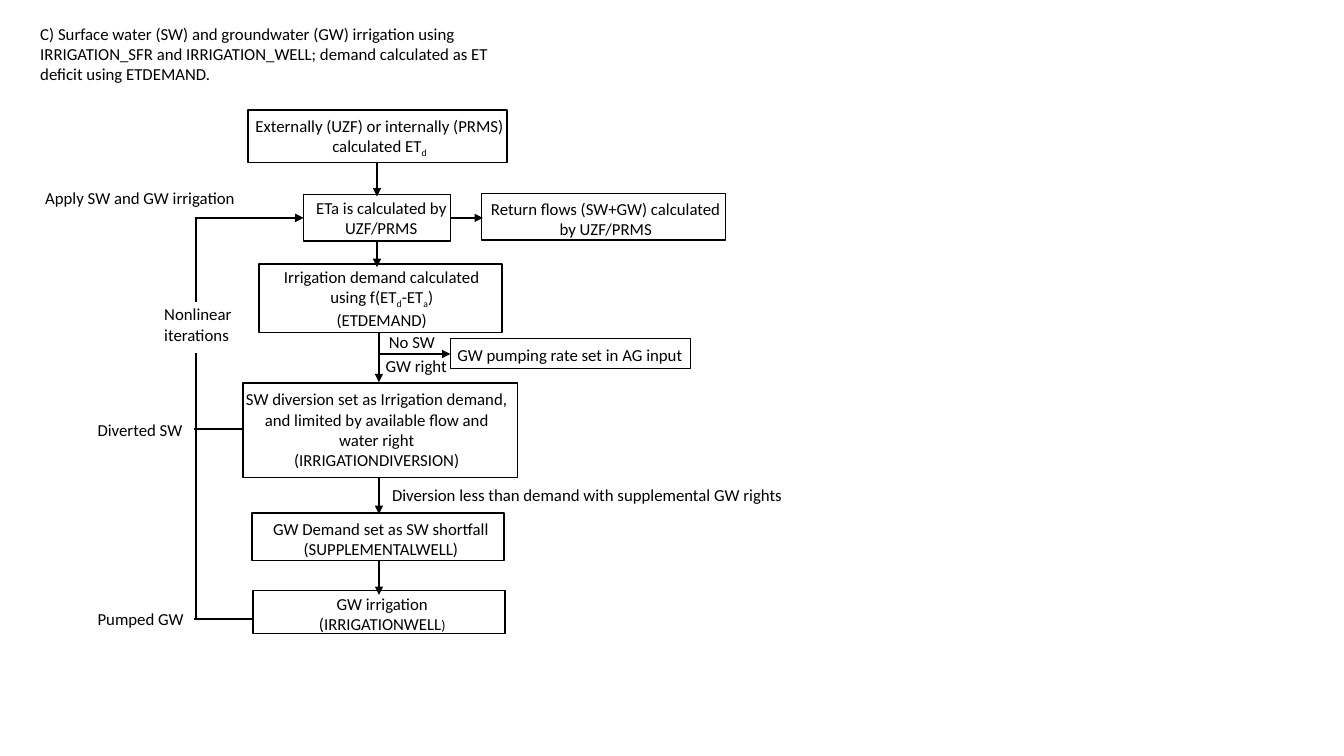
import pptx
import pptx.util
import pptx.dml.color
import pptx.enum.shapes
import pptx.enum.text
import pptx.oxml.ns
from dataclasses import dataclass
from lxml import etree

Cm, Pt = pptx.util.Cm, pptx.util.Pt
Align = pptx.enum.text.PP_ALIGN
Fit = pptx.enum.text.MSO_AUTO_SIZE
qn = pptx.oxml.ns.qn


@dataclass(frozen=True)
class Theme:
    ink: pptx.dml.color.RGBColor = pptx.dml.color.RGBColor(0, 0, 0)
    font: str = "Calibri"
    size: int = 12
    small: int = 10
    sub: str = "-25000"
    edge: float = 1
    flow: float = 1.5


THEME = Theme()

# Each step: box, text area, lines; a line is a list of runs,
# and a run is plain text or (text, kind)
STEPS = [
    ((6.25, 2.77, 6.53, 1.32), (6.02, 2.79, 7.09, 1.27),
     [["Externally (UZF) or internally (PRMS) calculated ET", ("d", "sub")]]),
    ((7.65, 4.9, 3.71, 1.17), (7.21, 4.85, 4.8, 1.27),
     [["ETa is calculated by UZF/PRMS"]]),
    ((12.14, 4.88, 6.15, 1.17), (11.94, 4.88, 6.65, 1.27),
     [["Return flows (SW+GW) calculated by UZF/PRMS"]]),
    ((6.53, 6.65, 6.12, 1.73), (6.43, 6.6, 6.38, 1.68),
     [["Irrigation demand calculated using f(ET", ("d", "sub"), "-ET",
       ("a", "sub"), ")"], ["(ETDEMAND)"]]),
    ((11.35, 8.53, 6.05, 0.76), (10.67, 8.56, 7.39, 0.76),
     [["GW pumping rate set in AG input"]]),
    ((6.12, 9.65, 6.93, 2.39), (5.94, 9.68, 7.11, 2.31),
     [["SW diversion set as Irrigation demand, and limited by available "
       "flow and water right"], ["(IRRIGATIONDIVERSION)"]]),
    ((6.35, 12.93, 6.35, 1.19), (6.4, 12.95, 6.4, 1.27),
     [["GW Demand set as SW shortfall"], ["(SUPPLEMENTALWELL)"]]),
    ((6.38, 14.88, 6.35, 1.09), (5.94, 14.83, 7.39, 1.88),
     [["GW irrigation"], ["(IRRIGATIONWELL", (")", "small")]]),
]

# Each label: area, text, wraps or not
LABELS = [
    ((0.89, 4.6, 5.33, 0.76), "Apply SW and GW irrigation", False),
    ((3.89, 7.54, 2.62, 1.27), "Nonlinear iterations", True),
    ((9.55, 8.23, 3.05, 0.76), "No SW", True),
    ((9.47, 8.84, 2.95, 0.76), "GW right", True),
    ((2.21, 10.46, 2.67, 0.76), "Diverted SW", False),
    ((9.63, 12.09, 10.44, 0.76),
     "Diversion less than demand with supplemental GW rights", False),
    ((2.21, 15.21, 2.72, 0.76), "Pumped GW", False),
]

# Lines run from x, y to x, y
ARROWS = [
    (9.5, 4.11, 9.5, 4.95), (9.5, 6.1, 9.5, 6.73),
    (9.55, 8.36, 9.55, 9.63), (9.55, 12.04, 9.55, 12.95),
    (9.55, 14.12, 9.55, 14.99), (11.35, 5.49, 12.17, 5.49),
    (9.55, 8.92, 11.35, 8.92), (4.95, 5.49, 7.65, 5.49),
]
LINKS = [
    (6.4, 15.6, 4.9, 15.6), (4.93, 15.62, 4.93, 8.89),
    (6.15, 10.82, 4.88, 10.82), (4.95, 7.62, 4.95, 5.46),
]


def apply(item, values):
    for name, value in values.items():
        setattr(item, name, value)


def span(area):
    return [Cm(v) for v in area]


def write(frame, lines, align, wrap=True, fit=Fit.SHAPE_TO_FIT_TEXT):
    apply(frame, {"word_wrap": wrap, "auto_size": fit,
                  "vertical_anchor": pptx.enum.text.MSO_ANCHOR.TOP})
    for i, line in enumerate(lines):
        para = frame.paragraphs[0] if i == 0 else frame.add_paragraph()
        para.alignment = align
        for part in line:
            text, kind = (part, "") if isinstance(part, str) else part
            run = para.add_run()
            run.text = text
            size = THEME.small if kind == "small" else THEME.size
            apply(run.font, {"name": THEME.font, "size": Pt(size)})
            run.font.color.rgb = THEME.ink
            if kind == "sub":
                run._r.get_or_add_rPr().set("baseline", THEME.sub)


def stroke(line, width):
    line.color.rgb = THEME.ink
    line.width = Pt(width)


def title(slide, area, text):
    head = slide.shapes.title
    apply(head, dict(zip(("left", "top", "width", "height"), span(area))))
    write(head.text_frame, [[text]], Align.LEFT, fit=Fit.NONE)


def label(slide, area, lines, align=Align.LEFT, wrap=True):
    box = slide.shapes.add_textbox(*span(area))
    write(box.text_frame, lines, align, wrap)


def step(slide, box, area, lines):
    rect = slide.shapes.add_shape(
        pptx.enum.shapes.MSO_SHAPE.RECTANGLE, *span(box))
    rect.shadow.inherit = False
    rect.fill.background()
    stroke(rect.line, THEME.edge)
    label(slide, area, lines, Align.CENTER)


def link(slide, ends, arrow=False):
    line = slide.shapes.add_connector(
        pptx.enum.shapes.MSO_CONNECTOR.STRAIGHT, *span(ends))
    stroke(line.line, THEME.flow)
    props = line._element.spPr
    if arrow:
        etree.SubElement(props.find(qn("a:ln")), qn("a:tailEnd"),
                         type="triangle")
    etree.SubElement(props, qn("a:effectLst"))


def main():
    deck = pptx.Presentation()
    apply(deck, {"slide_width": Cm(33.87), "slide_height": Cm(19.05)})
    slide = deck.slides.add_slide(deck.slide_layouts[5])

    # Heading
    title(slide, (0.76, 0.46, 12.7, 1.8),
          "C) Surface water (SW) and groundwater (GW) irrigation using "
          "IRRIGATION_SFR and IRRIGATION_WELL; demand calculated as ET "
          "deficit using ETDEMAND.")

    # Flow chart
    for box, area, lines in STEPS:
        step(slide, box, area, lines)
    for ends in ARROWS:
        link(slide, ends, arrow=True)
    for ends in LINKS:
        link(slide, ends)

    # Notes beside the flow
    for area, text, wrap in LABELS:
        label(slide, area, [[text]], wrap=wrap)

    deck.save("out.pptx")


if __name__ == "__main__":
    main()
